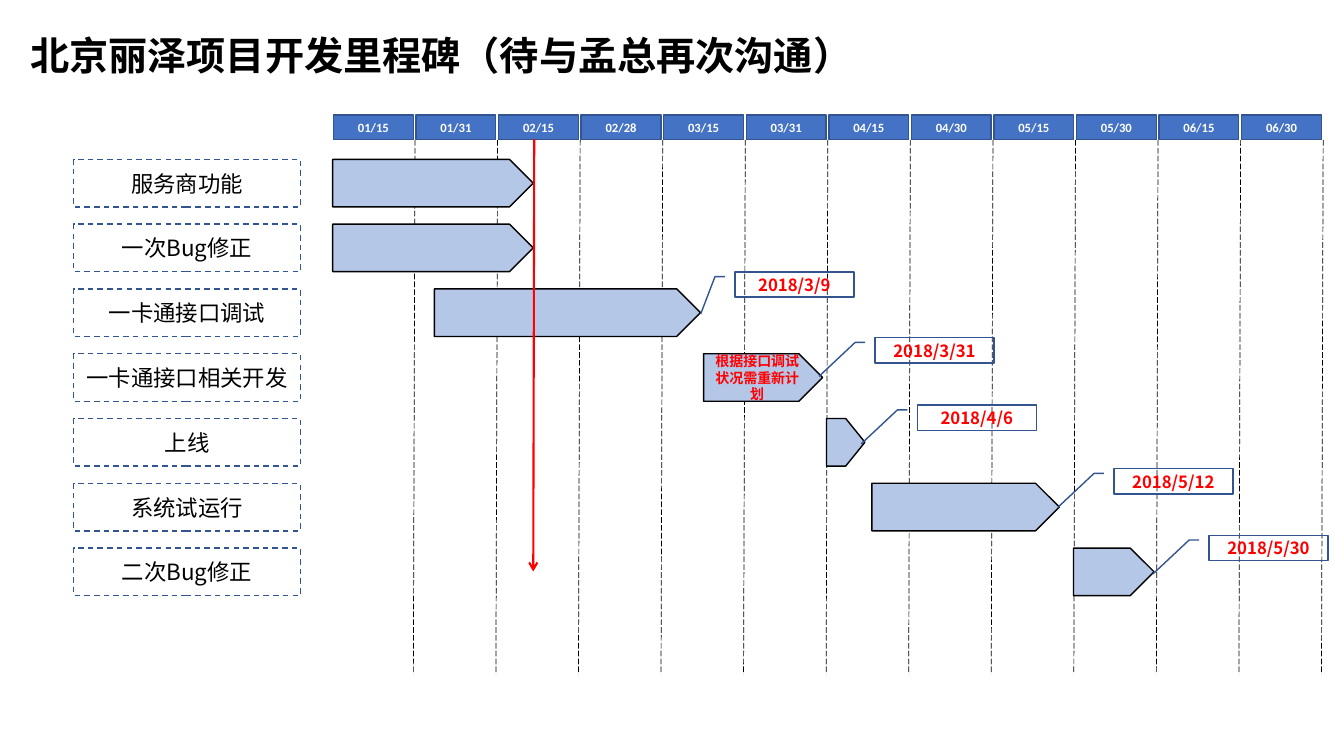
import pptx
import pptx.util
import pptx.dml.color
import pptx.enum.dml
import pptx.enum.shapes
import pptx.enum.text
import pptx.oxml.ns
from lxml import etree

Pt = pptx.util.Pt
SHAPE = pptx.enum.shapes.MSO_SHAPE
DASH = pptx.enum.dml.MSO_LINE
ALIGN = pptx.enum.text.PP_ALIGN
ANCHOR = pptx.enum.text.MSO_ANCHOR
qn = pptx.oxml.ns.qn

COLORS = {"black": "000000", "white": "FFFFFF", "red": "FF0000",
          "header": "4472C4", "outline": "325491", "bar": "B4C7E7"}
LATIN, CJK = "Calibri", "Noto Sans CJK SC"

# Time axis
DATES = ["01/15", "01/31", "02/15", "02/28", "03/15", "03/31",
         "04/15", "04/30", "05/15", "05/30", "06/15", "06/30"]
AXIS_LEFT, COLUMN_PITCH = 238.2, 58.97
AXIS_TOP, AXIS_BOTTOM = 100, 481.7

# Task rows: label, bar left, bar width, bar note
ROW_TOP, ROW_PITCH, ROW_HEIGHT = 113.8, 46.28, 34
TASKS = [
    ("服务商功能", 237.6, 143.3, ""),
    ("一次Bug修正", 237.6, 143.3, ""),
    ("一卡通接口调试", 310.3, 190.1, ""),
    ("一卡通接口相关开发", 502.6, 85, "根据接口调试状况需重新计划"),
    ("上线", 590.4, 27.4, ""),
    ("系统试运行", 622.8, 133.9, ""),
    ("二次Bug修正", 766.8, 57.6, ""),
]

# Deadlines: date, left, top, end of the leader as shares of height and width
DEADLINES = [
    ("2018/3/9", 524.9, 194.2, 1.67, -0.287),
    ("2018/3/31", 625, 241.2, 1.537, -0.471),
    ("2018/4/6", 655.2, 289.4, 1.537, -0.471),
    ("2018/5/12", 795.6, 334.8, 1.537, -0.471),
    ("2018/5/30", 863.6, 382.3, 1.537, -0.471),
]


def rgb(color):
    return pptx.dml.color.RGBColor.from_string(COLORS[color])


def write(frame, text, size, color, bold=False, font=CJK, align=ALIGN.CENTER,
          anchor=ANCHOR.MIDDLE):
    frame.word_wrap = True
    frame.vertical_anchor = anchor
    paragraph = frame.paragraphs[0]
    paragraph.alignment = align
    run = paragraph.add_run()
    run.text = text
    run.font.size, run.font.bold, run.font.name = Pt(size), bold, font
    run.font.color.rgb = rgb(color)
    etree.SubElement(run.font._element, qn("a:ea")).set("typeface", font)
    return paragraph


def add_box(slide, kind, left, top, width, height, fill=None, outline="outline",
            dash=None):
    box = slide.shapes.add_shape(kind, Pt(left), Pt(top), Pt(width), Pt(height))
    box.shadow.inherit = False
    if fill:
        box.fill.solid()
        box.fill.fore_color.rgb = rgb(fill)
    else:
        box.fill.background()
    box.line.color.rgb = rgb(outline)
    box.line.width = Pt(1)
    if dash:
        box.line.dash_style = dash
    return box


def add_line(slide, start, end, color, width):
    line = slide.shapes.add_connector(
        pptx.enum.shapes.MSO_CONNECTOR.STRAIGHT,
        *(Pt(value) for value in start + end))
    line.line.color.rgb = rgb(color)
    line.line.width = Pt(width)
    etree.SubElement(line._element.spPr, qn("a:effectLst"))
    return line


def add_title(slide, text):
    title = slide.shapes.title
    title.left, title.top, title.width, title.height = (
        Pt(14.4), Pt(22.3), Pt(621.4), Pt(46))
    title.text_frame.auto_size = pptx.enum.text.MSO_AUTO_SIZE.NONE
    paragraph = write(title.text_frame, text, 28, "black", True,
                      align=ALIGN.LEFT, anchor=ANCHOR.TOP)
    paragraph.line_spacing = 0.9


def add_time_column(slide, index, date):
    left = AXIS_LEFT + index * COLUMN_PITCH
    right = left + COLUMN_PITCH - 0.7
    grid = add_line(slide, (right, AXIS_TOP), (right - 1.2, AXIS_BOTTOM), "black", 0.5)
    grid.line.dash_style = DASH.LONG_DASH
    header = add_box(slide, SHAPE.RECTANGLE, left, 82.2, 57, 17.6, "header")
    write(header.text_frame, date, 9, "white", True, LATIN)


def add_task(slide, index, label, bar_left, bar_width, note):
    top = ROW_TOP + index * ROW_PITCH
    name_box = add_box(slide, SHAPE.RECTANGLE, 52.6, top, 162, ROW_HEIGHT,
                       dash=DASH.DASH)
    write(name_box.text_frame, label, 16, "black")
    bar = add_box(slide, SHAPE.PENTAGON, bar_left, top, bar_width, ROW_HEIGHT,
                  "bar", "black")
    if note:
        write(bar.text_frame, note, 10, "red", True)


def add_today_arrow(slide):
    arrow = add_line(slide, (381.6, 99.4), (380.9, 408.2), "red", 1.5)
    etree.SubElement(arrow.line._get_or_add_ln(), qn("a:tailEnd")).set("type", "arrow")


def add_deadline(slide, date, left, top, leader_y, leader_x):
    callout = add_box(slide, SHAPE.LINE_CALLOUT_2, left, top, 85, 18)
    for index, value in enumerate((0.188, -0.083, 0.188, -0.167, leader_y, leader_x)):
        callout.adjustments[index] = value
    write(callout.text_frame, date, 12, "red", True)


def main():
    deck = pptx.Presentation()
    deck.slide_width, deck.slide_height = Pt(960), Pt(540)
    slide = deck.slides.add_slide(deck.slide_layouts[5])
    add_title(slide, "北京丽泽项目开发里程碑（待与孟总再次沟通）")
    for index, date in enumerate(DATES):
        add_time_column(slide, index, date)
    for index, task in enumerate(TASKS):
        add_task(slide, index, *task)
    add_today_arrow(slide)
    for deadline in DEADLINES:
        add_deadline(slide, *deadline)
    deck.save("out.pptx")


if __name__ == "__main__":
    main()
